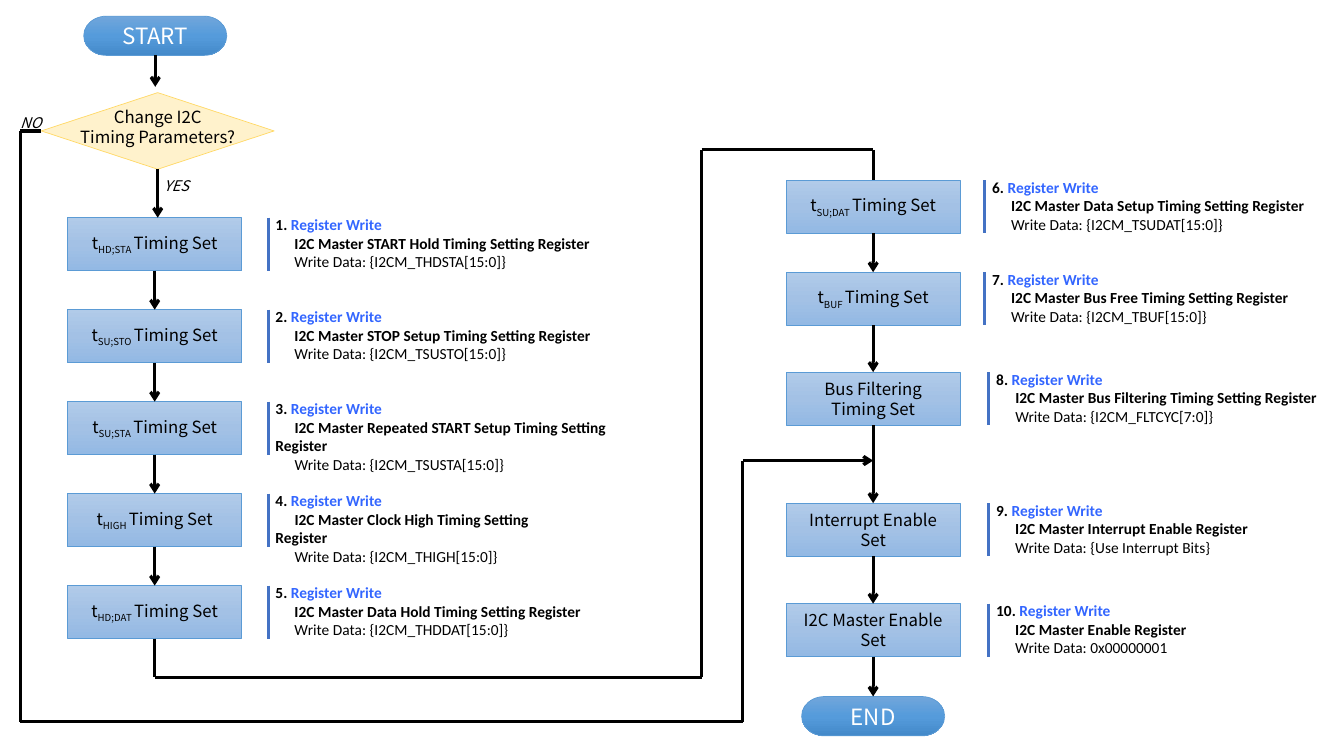
from pptx import Presentation
from pptx import util as u
from pptx.dml.color import RGBColor
from pptx.enum import shapes, text
from pptx.oxml import parse_xml
from pptx.oxml.ns import nsdecls, qn

LABEL_FONT, NOTE_FONT = "Noto Sans CJK JP", "Calibri"
BLACK, WHITE, BOX_EDGE = "000000", "FFFFFF", "5B9BD5"
TERMINATOR_FILL = ("71A6DB", "559BDB", "448ACA")
STEP_FILL = ("B1CBE9", "A3C1E5", "93B9E4")
STEP_WIDTH, STEP_HEIGHT = 124.6, 37.8
TOP, LEFT, BOTTOM = 0, 1, 2

# Each step: top, label lines or (symbol subscript, text), register, data, note width
LEFT_TOPS = [155.5 + 65.7 * row for row in range(5)]
LEFT_STEPS = [
    ("HD;STA", "I2C Master START Hold Timing Setting Register", "{I2CM_THDSTA[15:0]}", 244),
    ("SU;STO", "I2C Master STOP Setup Timing Setting Register", "{I2CM_TSUSTO[15:0]}", 244),
    ("SU;STA", "I2C Master Repeated START Setup Timing Setting Register", "{I2CM_TSUSTA[15:0]}", 275),
    ("HIGH", "I2C Master Clock High Timing Setting Register", "{I2CM_THIGH[15:0]}", 215),
    ("HD;DAT", "I2C Master Data Hold Timing Setting Register", "{I2CM_THDDAT[15:0]}", 244),
]
UPPER_TOPS = [128.7, 194.4]
UPPER_STEPS = [
    ("SU;DAT", "I2C Master Data Setup Timing Setting Register", "{I2CM_TSUDAT[15:0]}", 244),
    ("BUF", "I2C Master Bus Free Timing Setting Register", "{I2CM_TBUF[15:0]}", 244),
]
LOWER_TOPS = [265.8, 359.4, 431.2]
LOWER_STEPS = [
    (["Bus Filtering Timing Set"], "I2C Master Bus Filtering Timing Setting Register",
     "{I2CM_FLTCYC[7:0]}", 248),
    (["Interrupt Enable Set"], "I2C Master Interrupt Enable Register", "{Use Interrupt Bits}", 210),
    (["I2C Master Enable", "Set"], "I2C Master Enable Register", "0x00000001", 210),
]


def color(value):
    return RGBColor.from_string(value)


def add_run(paragraph, content, font=LABEL_FONT, size=12, fill=BLACK,
            bold=False, italic=False, subscript=False):
    run = paragraph.add_run()
    run.text = content
    run.font.name, run.font.size = font, u.Pt(size)
    run.font.bold, run.font.italic = bold, italic
    run.font.color.rgb = color(fill)
    if subscript:
        run.font._element.set("baseline", "-25000")


def add_paragraph(frame, first, align=text.PP_ALIGN.CENTER, spacing=None):
    paragraph = frame.paragraphs[0] if first else frame.add_paragraph()
    paragraph.alignment = align
    if spacing:
        paragraph.line_spacing = u.Pt(spacing)
    return paragraph


def add_lines(frame, lines, spacing=None, **style):
    frame.word_wrap = True
    frame.vertical_anchor = text.MSO_ANCHOR.MIDDLE
    for index, line in enumerate(lines):
        add_run(add_paragraph(frame, index == 0, spacing=spacing), line, **style)


def add_textbox(slide, left, top, width, height):
    box = slide.shapes.add_textbox(*map(u.Pt, (left, top, width, height)))
    box.text_frame.word_wrap = True
    return box.text_frame


def add_block(slide, kind, left, top, width, height, fill, edge):
    shape = slide.shapes.add_shape(kind, *map(u.Pt, (left, top, width, height)))
    shape.shadow.inherit = False
    shape.line.color.rgb, shape.line.width = color(edge), u.Pt(0.5)
    if isinstance(fill, str):
        shape.fill.solid()
        shape.fill.fore_color.rgb = color(fill)
        return shape
    shape.fill.gradient()
    shape.fill.gradient_angle = 270
    stops = shape._element.spPr.find(".//" + qn("a:gsLst"))
    for stop in list(stops):
        stops.remove(stop)
    for index, value in enumerate(fill):
        stops.append(parse_xml(f'<a:gs {nsdecls("a")} pos="{index * 50000}">'
                               f'<a:srgbClr val="{value}"/></a:gs>'))
    return shape


def add_line(slide, start, end, start_at=None, end_at=None, arrow=False, stroke=BLACK):
    """Points are (x, y); start_at and end_at are (shape, side) joins."""
    connector = slide.shapes.add_connector(
        shapes.MSO_CONNECTOR.STRAIGHT, *map(u.Pt, (*start, *end)))
    connector.line.color.rgb, connector.line.width = color(stroke), u.Pt(2.25)
    if start_at:
        connector.begin_connect(*start_at)
    if end_at:
        connector.end_connect(*end_at)
    if arrow:
        connector.line._get_or_add_ln().append(
            parse_xml(f'<a:tailEnd {nsdecls("a")} type="arrow"/>'))
    connector._element.spPr.append(parse_xml(f'<a:effectLst {nsdecls("a")}/>'))


def side_point(shape, side):
    x = shape.left if side == LEFT else shape.left + shape.width // 2
    y = {TOP: shape.top, LEFT: shape.top + shape.height // 2,
         BOTTOM: shape.top + shape.height}[side]
    return u.Emu(x).pt, u.Emu(y).pt


def add_route(slide, points, start_at=None, end_at=None, arrow=False):
    if start_at:
        points = [side_point(*start_at)] + points
    if end_at:
        points = points + [side_point(*end_at)]
    last = len(points) - 2
    for index, (start, end) in enumerate(zip(points, points[1:])):
        add_line(slide, start, end, start_at if index == 0 else None,
                 end_at if index == last else None, arrow and index == last)


def add_terminator(slide, label, center, top):
    shape = add_block(slide, shapes.MSO_SHAPE.FLOWCHART_TERMINATOR,
                      center - 51.1, top, 102.2, 28.1, TERMINATOR_FILL, BOX_EDGE)
    add_lines(shape.text_frame, [label], size=16, fill=WHITE)
    return shape


def add_decision(slide, left, top):
    shape = add_block(slide, shapes.MSO_SHAPE.FLOWCHART_DECISION,
                      left, top, 166.3, 54.7, "FFF2CC", "FFD966")
    question = add_textbox(slide, left + 17.3, top + 13, 131.8, 22.3)
    add_lines(question, ["Change I2C", "Timing Parameters?"], spacing=14.4)
    for answer, x, y, width in (("NO", -23, 10.8, 31), ("YES", 78.5, 56.2, 36)):
        add_lines(add_textbox(slide, left + x, top + y, width, 20.9), [answer],
                  size=10.5, italic=True)
    return shape


def add_note(slide, left, top, width, number, register, data):
    add_line(slide, (left, top), (left, top + STEP_HEIGHT), stroke="4472C4")
    frame = add_textbox(slide, left - 1.8, top - 5.1, width, 47.5)
    paragraphs = [add_paragraph(frame, row == 0, text.PP_ALIGN.LEFT) for row in range(3)]
    for paragraph in paragraphs[1:]:
        paragraph._p.get_or_add_pPr().set("indent", str(u.Pt(13.6)))
    style = {"font": NOTE_FONT, "size": 11}
    add_run(paragraphs[0], f"{number}. ", bold=True, **style)
    add_run(paragraphs[0], "Register Write", bold=True, fill="3366FF", **style)
    add_run(paragraphs[1], register, bold=True, **style)
    add_run(paragraphs[2], f"Write Data: {data}", **style)


def add_steps(slide, left, note_gap, first_number, tops, steps):
    blocks = []
    for index, (top, (label, register, data, width)) in enumerate(zip(tops, steps)):
        block = add_block(slide, shapes.MSO_SHAPE.RECTANGLE, left, top,
                          STEP_WIDTH, STEP_HEIGHT, STEP_FILL, BOX_EDGE)
        frame = block.text_frame
        if isinstance(label, str):
            add_lines(frame, ["t"])
            add_run(frame.paragraphs[0], label + " ", subscript=True)
            add_run(frame.paragraphs[0], "Timing Set")
        else:
            add_lines(frame, label, spacing=14.4)
        add_note(slide, left + note_gap, top, width, first_number + index, register, data)
        blocks.append(block)
    return blocks


def main():
    presentation = Presentation()
    presentation.slide_width, presentation.slide_height = u.Pt(960), u.Pt(540)
    slide = presentation.slides.add_slide(presentation.slide_layouts[6])

    # Flow blocks and register notes
    right_center = 561.4 + STEP_WIDTH / 2
    start = add_terminator(slide, "START", 110.9, 11.5)
    decision = add_decision(slide, 29.5, 66.2)
    left_blocks = add_steps(slide, 48.2, 143.3, 1, LEFT_TOPS, LEFT_STEPS)
    right_blocks = add_steps(slide, 561.4, 142, 6, UPPER_TOPS, UPPER_STEPS)
    right_blocks += add_steps(slide, 561.4, 144.9, 8, LOWER_TOPS, LOWER_STEPS)
    end = add_terminator(slide, "END", right_center, 497.5)

    # Arrows down each column
    add_route(slide, [(110.9, 62)], start_at=(start, BOTTOM), arrow=True)
    add_route(slide, [(112.65, LEFT_TOPS[0])], start_at=(decision, BOTTOM), arrow=True)
    for column in (left_blocks, right_blocks + [end]):
        for upper, lower in zip(column, column[1:]):
            add_route(slide, [], (upper, BOTTOM), (lower, TOP), arrow=True)

    # Left column to right column, and the NO branch
    add_route(slide, [(110.5, 483.8), (501.1, 483.8), (501.1, 107), (right_center, 107)],
              (left_blocks[-1], BOTTOM), (right_blocks[0], TOP))
    add_route(slide, [(14.4, 93.55), (14.4, 515.5), (530.6, 515.5), (530.6, 329),
                      (right_center, 329)], start_at=(decision, LEFT), arrow=True)
    presentation.save("out.pptx")


if __name__ == "__main__":
    main()
